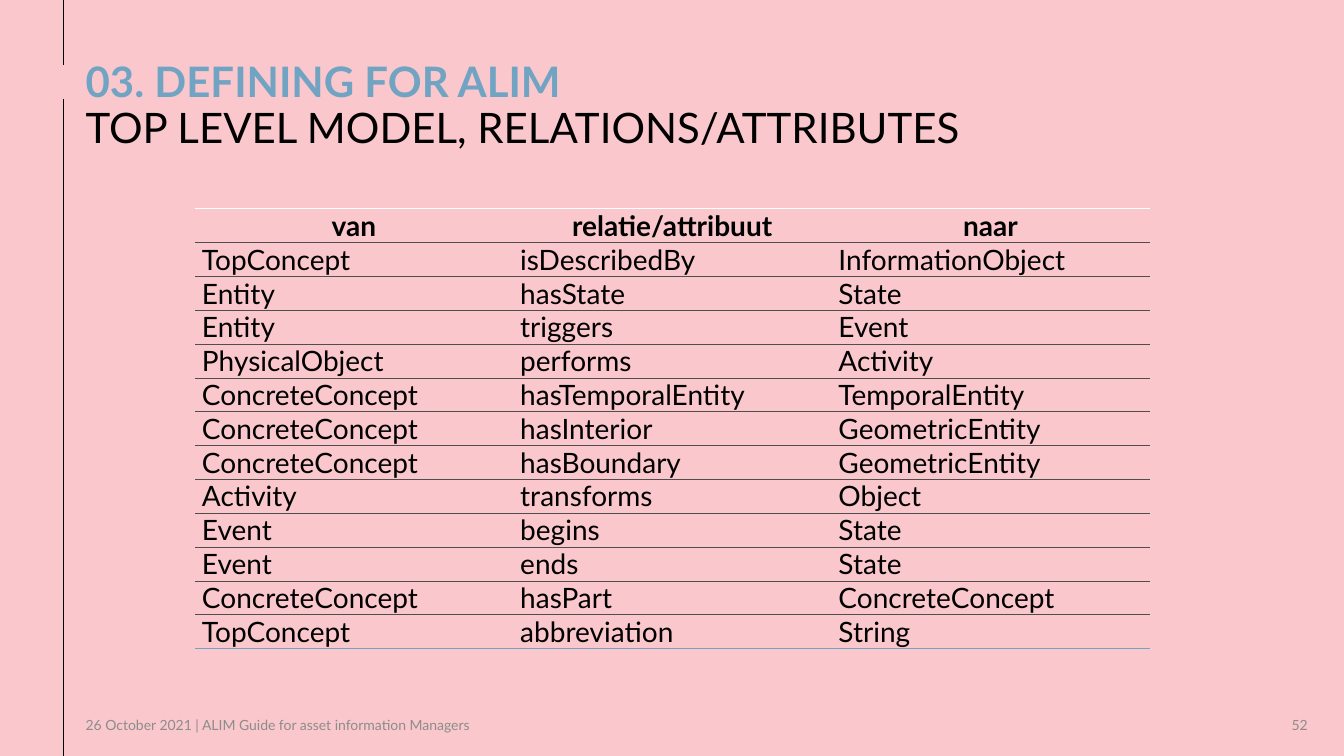
from lxml import etree
from pptx import Presentation
from pptx.dml.color import RGBColor
from pptx.enum.shapes import MSO_CONNECTOR
from pptx.enum.text import MSO_ANCHOR, PP_ALIGN
from pptx.oxml.ns import qn
from pptx.util import Cm, Pt

STRAIGHT = MSO_CONNECTOR.STRAIGHT
TOP, MIDDLE = MSO_ANCHOR.TOP, MSO_ANCHOR.MIDDLE
LEFT, CENTER, JUSTIFY = PP_ALIGN.LEFT, PP_ALIGN.CENTER, PP_ALIGN.JUSTIFY

WIDTH, HEIGHT = 33.87, 19.05
FONT = "Lato"
COLORS = {
    "background": "FAC8CC",
    "text": "000000",
    "accent": "71A4C3",
    "footer": "8C8C8C",
    "rule": "4E4E4E",
    "top_rule": "FFFFFF",
}

RELATIONS = [
    ("van", "relatie/attribuut", "naar"),
    ("TopConcept", "isDescribedBy", "InformationObject"),
    ("Entity", "hasState", "State"),
    ("Entity", "triggers", "Event"),
    ("PhysicalObject", "performs", "Activity"),
    ("ConcreteConcept", "hasTemporalEntity", "TemporalEntity"),
    ("ConcreteConcept", "hasInterior", "GeometricEntity"),
    ("ConcreteConcept", "hasBoundary", "GeometricEntity"),
    ("Activity", "transforms", "Object"),
    ("Event", "begins", "State"),
    ("Event", "ends", "State"),
    ("ConcreteConcept", "hasPart", "ConcreteConcept"),
    ("TopConcept", "abbreviation", "String"),
]


def rgb(name):
    return RGBColor.from_string(COLORS[name])


def write(frame, text, size=20, color="text", bold=False, align=LEFT, spacing=None):
    paragraph = frame.paragraphs[0]
    paragraph.alignment = align
    paragraph.line_spacing = spacing
    run = paragraph.add_run()
    run.text = text
    run.font.name = FONT
    run.font.size = Pt(size)
    run.font.bold = bold
    run.font.color.rgb = rgb(color)


def add_text(slide, box, text, anchor=TOP, **style):
    frame = slide.shapes.add_textbox(*map(Cm, box)).text_frame
    frame.word_wrap = True
    frame.vertical_anchor = anchor
    frame.margin_left = frame.margin_right = 0
    frame.margin_top = frame.margin_bottom = 0
    write(frame, text, **style)


def add_margin_line(slide, x, top, bottom):
    line = slide.shapes.add_connector(STRAIGHT, Cm(x), Cm(top), Cm(x), Cm(bottom))
    line.line.color.rgb = rgb("text")
    line.line.width = Pt(0.57)
    etree.SubElement(line._element.spPr, qn("a:effectLst"))


def set_borders(cell, top, bottom):
    """Draw the top and bottom rules of a cell, each a (colour, points) pair."""
    properties = cell._tc.get_or_add_tcPr()
    sides = [("a:lnL", None), ("a:lnR", None), ("a:lnT", top), ("a:lnB", bottom)]
    for index, (tag, rule) in enumerate(sides):
        border = etree.Element(qn(tag))
        if rule:
            color, points = rule
            border.set("w", str(Pt(points)))
            fill = etree.SubElement(border, qn("a:solidFill"))
            etree.SubElement(fill, qn("a:srgbClr"), val=COLORS[color])
        else:
            etree.SubElement(border, qn("a:noFill"))
        properties.insert(index, border)


def add_heading(slide, box):
    left, top, width, height = box
    line_height = height / 2
    add_text(slide, (left, top, width, line_height), "03. DEFINING FOR ALIM",
             size=30, color="accent", bold=True, spacing=0.9)
    add_text(slide, (left, top + 1.02, width, line_height),
             "TOP LEVEL MODEL, RELATIONS/ATTRIBUTES", size=30)


def add_relations(slide, box):
    left, top, width, height = box
    row_count, column_count = len(RELATIONS), len(RELATIONS[0])
    table = slide.shapes.add_table(row_count, column_count, *map(Cm, box)).table
    table.first_row = table.horz_banding = False
    for column in table.columns:
        column.width = Cm(width / column_count)
    thin = ("rule", 0.25)
    for r, relation in enumerate(RELATIONS):
        table.rows[r].height = Cm(height / row_count)
        header = r == 0
        above = ("top_rule", 1) if header else thin
        below = ("accent", 1) if r == row_count - 1 else thin
        for c, text in enumerate(relation):
            cell = table.cell(r, c)
            cell.margin_left = cell.margin_right = Cm(0.18)
            cell.margin_top = cell.margin_bottom = 0
            cell.fill.background()
            set_borders(cell, above, below)
            write(cell.text_frame, text, bold=header,
                  align=CENTER if header else JUSTIFY)


def add_footer(slide, box):
    left, top, width, height = box
    number_width = 0.9
    add_text(slide, (left, top, 14.78, height),
             "26 October 2021 | ALIM Guide for asset information Managers",
             anchor=MIDDLE, size=10, color="footer")
    add_text(slide, (left + width - number_width, top, number_width, height), "52",
             anchor=MIDDLE, size=10, color="footer")


def main():
    deck = Presentation()
    deck.slide_width, deck.slide_height = Cm(WIDTH), Cm(HEIGHT)
    slide = deck.slides.add_slide(deck.slide_layouts[6])
    slide.background.fill.solid()
    slide.background.fill.fore_color.rgb = rgb("background")

    # Margin line, broken beside the heading
    add_margin_line(slide, 1.6, 2.49, HEIGHT)
    add_margin_line(slide, 1.6, 0, 1.65)

    # Heading, table and footer
    add_heading(slide, (2.16, 1.55, 30.07, 2.4))
    add_relations(slide, (4.91, 5.26, 24.06, 11.08))
    add_footer(slide, (2.16, 18.01, 31.29, 0.5))

    deck.save("out.pptx")


if __name__ == "__main__":
    main()
